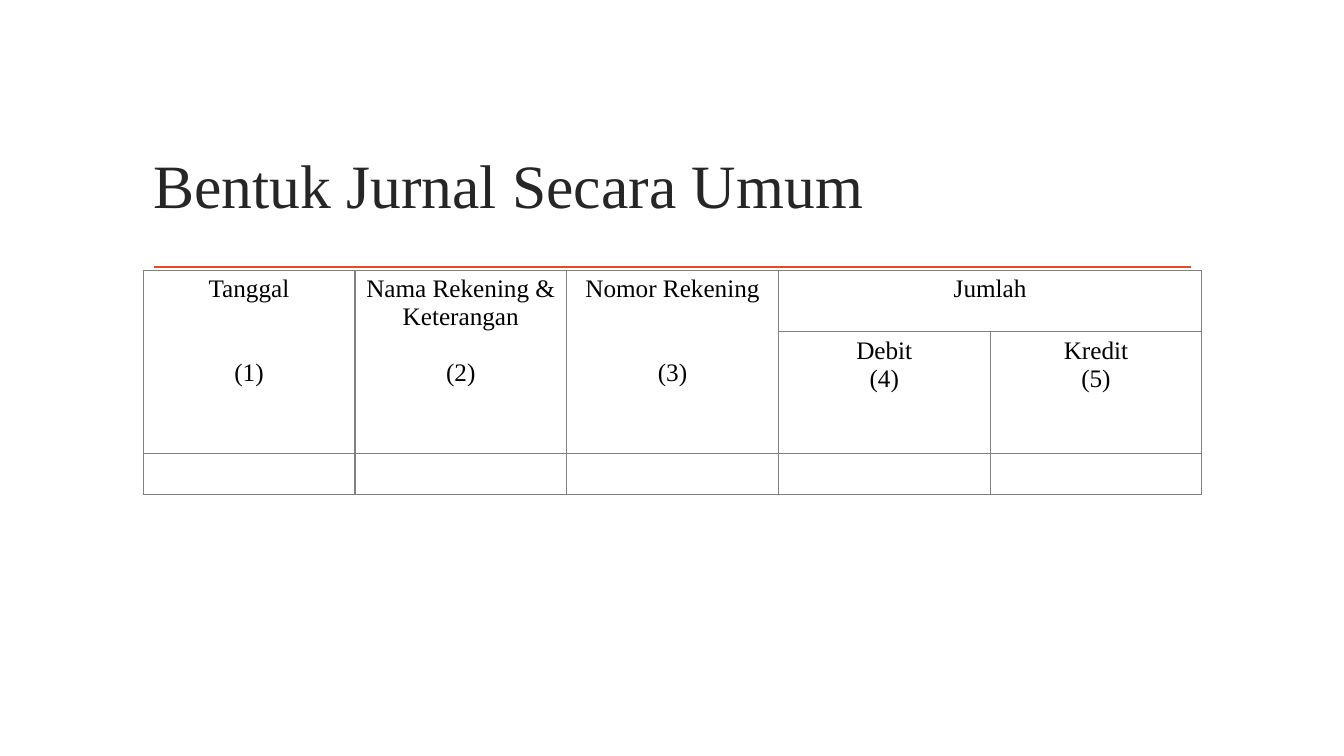
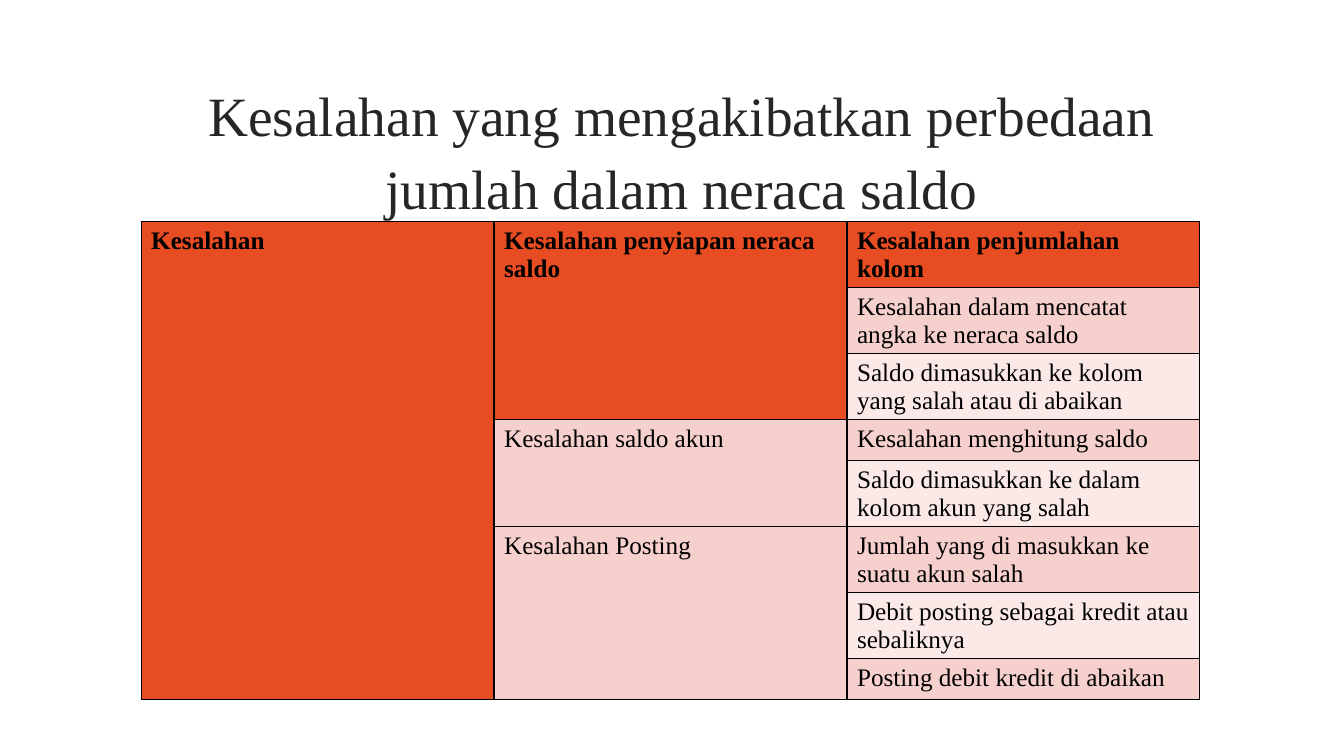
"""Build two accounting slides: the journal layout and trial balance errors."""
from lxml import etree
from pptx import Presentation
from pptx import util as u
from pptx.dml.color import RGBColor
from pptx.enum import shapes, text
from pptx.oxml import ns

FONT = "Times New Roman"
ACCENT, ROSE, PALE = "E84C22", "F6D0CD", "FBE9E8"
INK, BLACK, GRAY = "262626", "000000", "808080"
CENTER = text.PP_ALIGN.CENTER
LEFT = text.PP_ALIGN.LEFT
TABLE_WIDTH = 10.5

JOURNAL_HEADINGS = [
    ("Tanggal", "(1)", 40),
    ("Nama Rekening & Keterangan", "(2)", 20),
    ("Nomor Rekening", "(3)", 40),
]
AMOUNT_HEADINGS = [("Debit", "(4)"), ("Kredit", "(5)")]
ERROR_GROUPS = [
    ("Kesalahan penyiapan neraca saldo", [
        "Kesalahan penjumlahan kolom",
        "Kesalahan dalam mencatat angka ke neraca saldo",
        "Saldo dimasukkan ke kolom yang salah atau di abaikan",
    ]),
    ("Kesalahan saldo akun", [
        "Kesalahan menghitung saldo",
        "Saldo dimasukkan ke dalam kolom akun yang salah",
    ]),
    ("Kesalahan Posting", [
        "Jumlah yang di masukkan ke suatu akun salah",
        "Debit posting sebagai kredit atau sebaliknya",
        "Posting debit kredit di abaikan",
    ]),
]


def color(value):
    """Turn a hex string into a colour."""
    return RGBColor.from_string(value)


def write_text(frame, *lines, size=18, ink=BLACK, bold=False, align=LEFT, gap=0, spacing=1.0):
    """Write one paragraph per line, with a gap in points between them."""
    for index, line in enumerate(lines):
        para = frame.add_paragraph() if index else frame.paragraphs[0]
        para.alignment = align
        para.line_spacing = spacing
        para.space_before = u.Pt(gap if index else 0)
        span = para.add_run()
        span.text = line
        span.font.name = FONT
        span.font.size = u.Pt(size)
        span.font.bold = bold
        span.font.color.rgb = color(ink)


def add_shared_rule(layout, slide):
    """Draw the accent rule and move it to the layout that the slides share."""
    rule = slide.shapes.add_connector(
        shapes.MSO_CONNECTOR.STRAIGHT,
        u.Inches(1.53), u.Inches(2.65), u.Inches(11.81), u.Inches(2.65))
    rule.line.color.rgb = color(ACCENT)
    rule.line.width = u.Pt(1.25)
    etree.SubElement(rule.element.spPr, ns.qn("a:effectLst"))
    layout.shapes.element.append(rule.element)


def set_title(slide, wording, left, top, **style):
    """Place and format the slide title."""
    title = slide.shapes.title
    title.left, title.top = u.Inches(left), u.Inches(top)
    title.width, title.height = u.Inches(10.5), u.Inches(1.43)
    frame = title.text_frame
    frame.word_wrap = True
    frame.auto_size = text.MSO_AUTO_SIZE.NONE
    frame.vertical_anchor = text.MSO_ANCHOR.MIDDLE
    write_text(frame, wording, ink=INK, spacing=1.1, **style)


def set_borders(cell, line_color):
    """Draw a one-point line on every side of a cell."""
    properties = cell._tc.get_or_add_tcPr()
    for side in ("a:lnL", "a:lnR", "a:lnT", "a:lnB"):
        line = etree.SubElement(properties, ns.qn(side), w=str(u.Pt(1)))
        fill = etree.SubElement(line, ns.qn("a:solidFill"))
        etree.SubElement(fill, ns.qn("a:srgbClr"), val=line_color)


def add_grid(slide, left, top, columns, heights, line_color, row_fills=None):
    """Add a bordered table with equal columns and one optional fill per row."""
    table = slide.shapes.add_table(
        len(heights), columns, u.Inches(left), u.Inches(top),
        u.Inches(TABLE_WIDTH), u.Inches(sum(heights))).table
    table.first_row = table.horz_banding = False
    for column in table.columns:
        column.width = u.Inches(TABLE_WIDTH / columns)
    for index, height in enumerate(heights):
        row = table.rows[index]
        row.height = u.Inches(height)
        for cell in row.cells:
            set_borders(cell, line_color)
            if row_fills:
                cell.fill.solid()
                cell.fill.fore_color.rgb = color(row_fills[index])
            else:
                cell.fill.background()
    return table


def build_journal(slide):
    """Fill the slide that shows the general journal form."""
    set_title(slide, "Bentuk Jurnal Secara Umum", 1.42, 1.07, size=44)
    table = add_grid(slide, 1.42, 2.68, 5, [0.61, 1.2, 0.41], GRAY)
    for column, (heading, number, gap) in enumerate(JOURNAL_HEADINGS):
        cell = table.cell(0, column)
        cell.merge(table.cell(1, column))
        write_text(cell.text_frame, heading, number, align=CENTER, gap=gap)
    amount = table.cell(0, 3)
    amount.merge(table.cell(0, 4))
    write_text(amount.text_frame, "Jumlah", align=CENTER)
    for column, lines in enumerate(AMOUNT_HEADINGS, start=3):
        write_text(table.cell(1, column).text_frame, *lines, align=CENTER)


def build_errors(slide):
    """Fill the slide that groups the trial balance errors."""
    set_title(slide, "Kesalahan yang mengakibatkan perbedaan jumlah dalam neraca saldo",
              1.51, 0.75, size=39.6, align=CENTER)
    heights = [0.65, 0.65, 0.65, 0.41, 0.65, 0.65, 0.65, 0.41]
    fills = [ACCENT] + [ROSE if row % 2 else PALE for row in range(1, len(heights))]
    table = add_grid(slide, 1.4, 2.2, 3, heights, BLACK, fills)
    root = table.cell(0, 0)
    root.merge(table.cell(len(heights) - 1, 0))
    write_text(root.text_frame, "Kesalahan", bold=True)
    row = 0
    for cause, details in ERROR_GROUPS:
        group = table.cell(row, 1)
        group.merge(table.cell(row + len(details) - 1, 1))
        write_text(group.text_frame, cause, bold=row == 0)
        for detail in details:
            write_text(table.cell(row, 2).text_frame, detail, bold=row == 0)
            row += 1


def main():
    """Build the deck and save it."""
    deck = Presentation()
    deck.slide_width, deck.slide_height = u.Inches(13.33), u.Inches(7.5)
    layout = deck.slide_layouts.get_by_name("Title Only")
    journal, errors = (deck.slides.add_slide(layout) for _ in range(2))
    add_shared_rule(layout, journal)
    build_journal(journal)
    build_errors(errors)
    deck.save("out.pptx")


if __name__ == "__main__":
    main()
